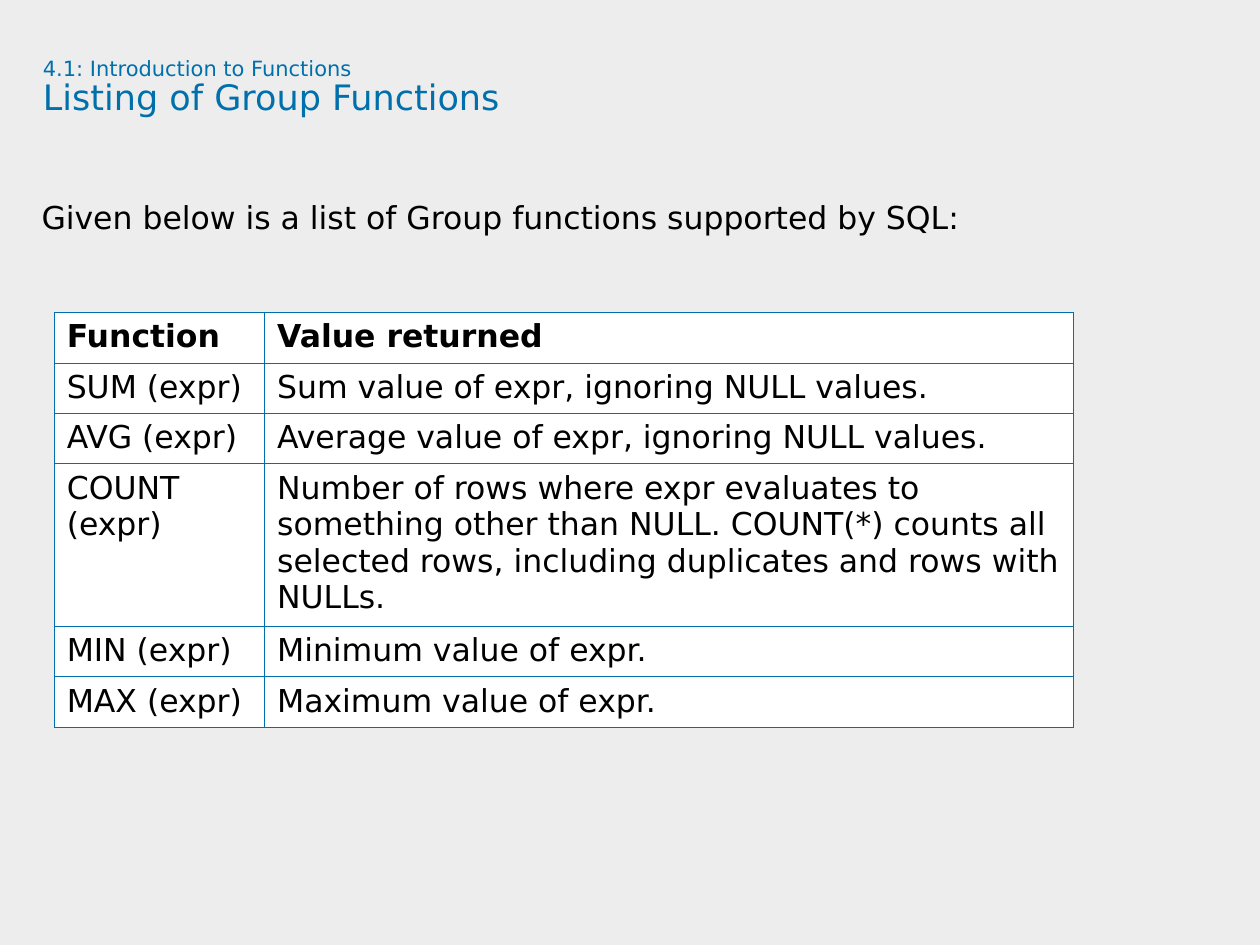
import dataclasses

import lxml.etree
import pptx
import pptx.dml.color
import pptx.enum.text
import pptx.oxml.ns
import pptx.util

Inches = pptx.util.Inches
Pt = pptx.util.Pt
TITLE_ONLY = 5


@dataclasses.dataclass(frozen=True)
class Theme:
    font: str = "DejaVu Sans"
    background: str = "EDEDED"
    accent: str = "0070AD"
    ink: str = "000000"
    cell: str = "FFFFFF"
    section_size: float = 12
    title_size: float = 20
    body_size: float = 18
    border_width: float = 0.45


def rgb(value):
    return pptx.dml.color.RGBColor.from_string(value)


def write_text(paragraph, text, *, font, size, color, bold=False):
    run = paragraph.add_run()
    run.text = text
    run.font.name = font
    run.font.size = Pt(size)
    run.font.color.rgb = rgb(color)
    run.font.bold = bold


def add_cell_borders(cell, color, width):
    """Put the four side lines ahead of the fill, as the schema requires."""
    properties = cell._tc.get_or_add_tcPr()
    for position, side in enumerate(("lnL", "lnR", "lnT", "lnB")):
        line = lxml.etree.Element(pptx.oxml.ns.qn(f"a:{side}"), w=str(Pt(width)))
        fill = lxml.etree.SubElement(line, pptx.oxml.ns.qn("a:solidFill"))
        lxml.etree.SubElement(fill, pptx.oxml.ns.qn("a:srgbClr"), val=color)
        properties.insert(position, line)


class SlideBuilder:
    def __init__(self, slide, theme):
        self.slide = slide
        self.theme = theme
        slide.background.fill.solid()
        slide.background.fill.fore_color.rgb = rgb(theme.background)

    def prepare_frame(self, shape):
        """Return the shape's frame, wrapped, top-anchored and without margins."""
        frame = shape.text_frame
        frame.word_wrap = True
        frame.auto_size = pptx.enum.text.MSO_AUTO_SIZE.NONE
        frame.vertical_anchor = pptx.enum.text.MSO_ANCHOR.TOP
        frame.margin_left = frame.margin_right = 0
        frame.margin_top = frame.margin_bottom = 0
        return frame

    def title(self, section, heading, left, top, width, height):
        title = self.slide.shapes.title
        title.left, title.top = Inches(left), Inches(top)
        title.width, title.height = Inches(width), Inches(height)
        paragraph = self.prepare_frame(title).paragraphs[0]
        paragraph.alignment = pptx.enum.text.PP_ALIGN.LEFT
        paragraph.line_spacing = 0.9
        style = {"font": self.theme.font, "color": self.theme.accent}
        write_text(paragraph, section, size=self.theme.section_size, **style)
        paragraph.add_line_break()
        write_text(paragraph, heading, size=self.theme.title_size, **style)

    def body(self, text, left, top, width, height):
        body = self.slide.shapes.add_textbox(
            Inches(left), Inches(top), Inches(width), Inches(height))
        paragraph = self.prepare_frame(body).paragraphs[0]
        paragraph.line_spacing = Pt(16.5)
        paragraph.space_after = Pt(4.5)
        write_text(paragraph, text, font=self.theme.font,
                   size=self.theme.body_size, color=self.theme.ink)

    def table(self, rows, left, top, column_widths, row_heights):
        table = self.slide.shapes.add_table(
            len(rows), len(column_widths), Inches(left), Inches(top),
            Inches(sum(column_widths)), Inches(sum(row_heights))).table
        table.horz_banding = False
        for column, width in zip(table.columns, column_widths):
            column.width = Inches(width)
        for row, height in zip(table.rows, row_heights):
            row.height = Inches(height)
        for row_index, row in enumerate(rows):
            for column_index, text in enumerate(row):
                self.table_cell(table.cell(row_index, column_index), text,
                                bold=row_index == 0)

    def table_cell(self, cell, text, bold):
        cell.fill.solid()
        cell.fill.fore_color.rgb = rgb(self.theme.cell)
        add_cell_borders(cell, self.theme.accent, self.theme.border_width)
        write_text(cell.text_frame.paragraphs[0], text, font=self.theme.font,
                   size=self.theme.body_size, color=self.theme.ink, bold=bold)


GROUP_FUNCTIONS = [
    ("Function", "Value returned"),
    ("SUM (expr)", "Sum value of expr, ignoring NULL values."),
    ("AVG (expr)", "Average value of expr, ignoring NULL values."),
    ("COUNT (expr)",
     "Number of rows where expr evaluates to something other than NULL. "
     "COUNT(*) counts all selected rows, including duplicates and rows "
     "with NULLs."),
    ("MIN (expr)", "Minimum value of expr."),
    ("MAX (expr)", "Maximum value of expr."),
]


def main():
    presentation = pptx.Presentation()
    presentation.slide_width = Inches(10)
    presentation.slide_height = Inches(7.5)
    slide = presentation.slides.add_slide(presentation.slide_layouts[TITLE_ONLY])

    builder = SlideBuilder(slide, Theme())
    builder.title("4.1: Introduction to Functions", "Listing of Group Functions",
                  0.34, 0.46, 9.09, 0.94)
    builder.body("Given below is a list of Group functions supported by SQL:",
                 0.33, 1.64, 9.67, 5.08)
    row_heights = [1.29 if name.startswith("COUNT") else 0.4
                   for name, _ in GROUP_FUNCTIONS]
    builder.table(GROUP_FUNCTIONS, 0.43, 2.48, [1.67, 6.42], row_heights)

    presentation.save("out.pptx")


if __name__ == "__main__":
    main()
